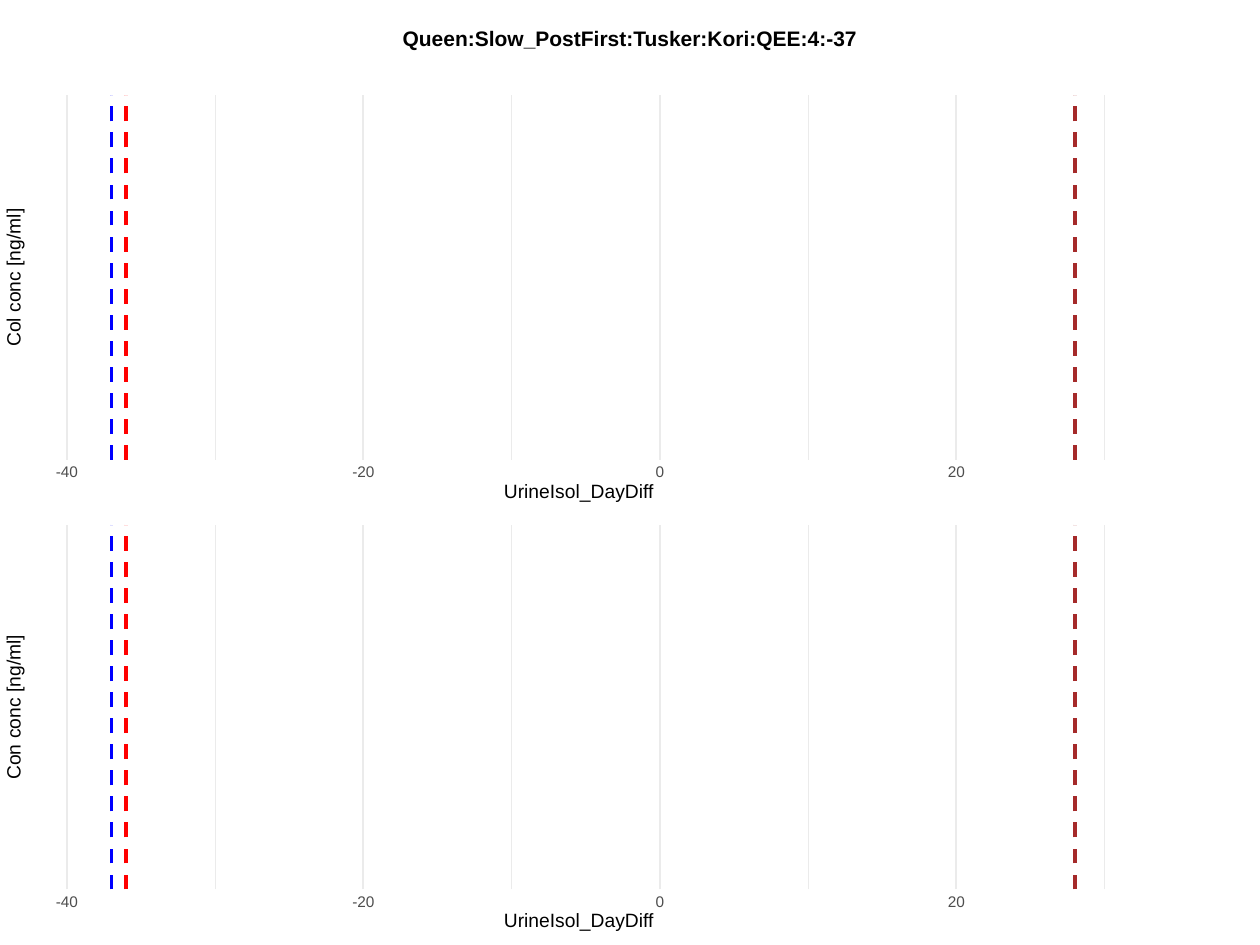
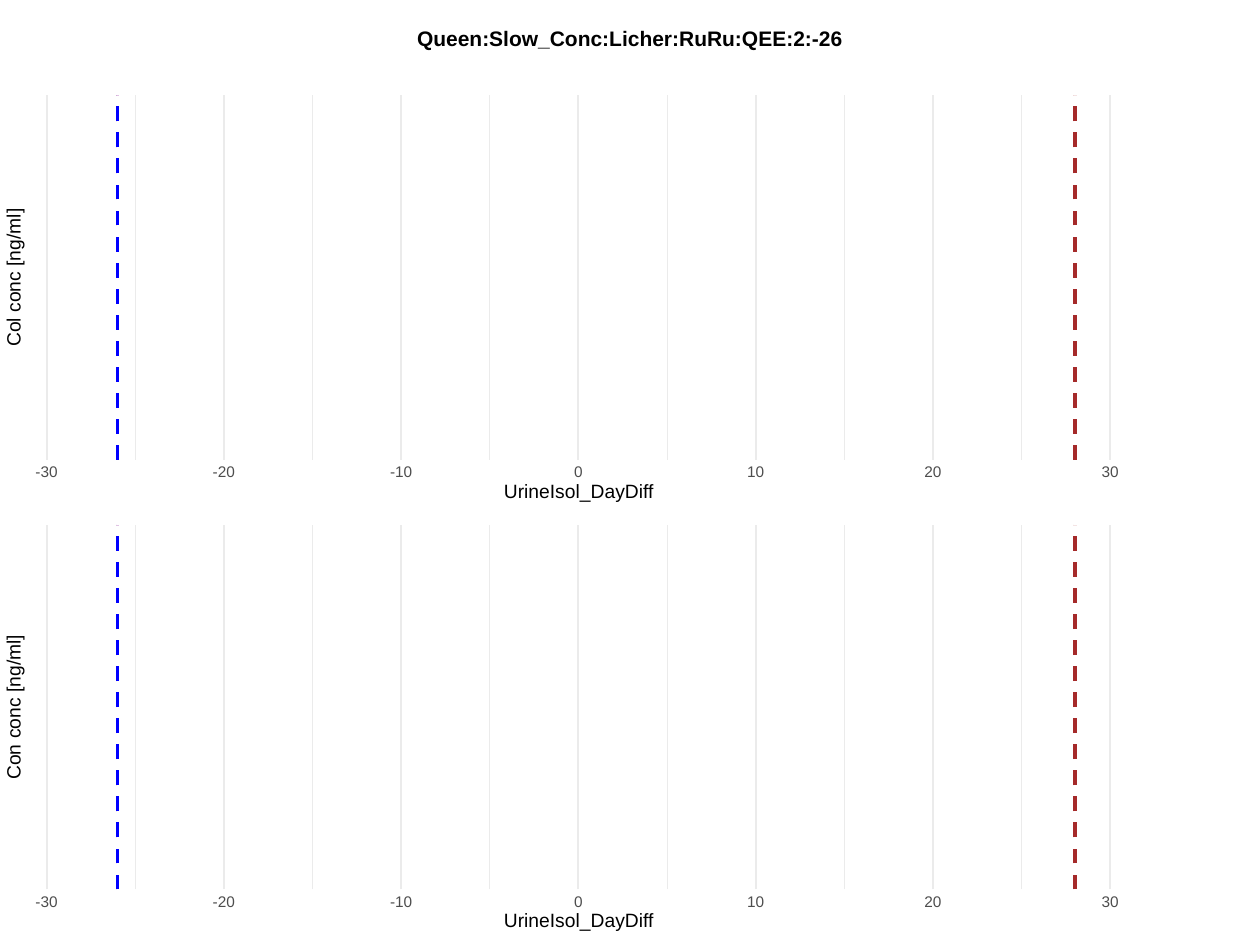
from dataclasses import dataclass
from lxml import etree
from pptx import Presentation
from pptx.dml.color import RGBColor
from pptx.enum.dml import MSO_LINE
from pptx.enum.shapes import MSO_CONNECTOR
from pptx.enum.text import MSO_ANCHOR, MSO_AUTO_SIZE, PP_ALIGN
from pptx.oxml.ns import qn
from pptx.util import Cm, Pt

STRAIGHT = MSO_CONNECTOR.STRAIGHT
DASH = MSO_LINE.DASH
MIDDLE = MSO_ANCHOR.MIDDLE
NO_AUTOFIT = MSO_AUTO_SIZE.NONE
CENTER = PP_ALIGN.CENTER

FONT = "Arial"
TITLE_ONLY = 5
COLORS = {
    "background": "FFFFFF",
    "text": "000000",
    "tick": "4D4D4D",
    "grid": "EBEBEB",
    "red": "FF0000",
    "blue": "0000FF",
    "brown": "A52A2A",
}
SLIDE_W, SLIDE_H = 25.4, 19.05
PANEL_H = 7.35
PANEL_CENTER = 11.67
X_TITLE = "UrineIsol_DayDiff"


@dataclass(frozen=True)
class Axis:
    first_day: int
    last_day: int
    step: int
    first_x: float
    last_x: float

    def x(self, day: float) -> float:
        share = (day - self.first_day) / (self.last_day - self.first_day)
        return self.first_x + share * (self.last_x - self.first_x)

    def major_days(self) -> range:
        return range(self.first_day, self.last_day + 1, self.step)


@dataclass(frozen=True)
class Marker:
    day: int
    color: str


@dataclass(frozen=True)
class Panel:
    y_title: str
    y_title_w: float
    top: float


@dataclass(frozen=True)
class Page:
    title: str
    title_w: float
    axis: Axis
    minor_days: range
    markers: tuple[Marker, ...]


PANELS = (
    Panel("Col conc [ng/ml]", 2.79, 1.92),
    Panel("Con conc [ng/ml]", 2.92, 10.58),
)
PAGES = (
    Page("Queen:Slow_PostFirst:Tusker:Kori:QEE:4:-37", 9.2,
         Axis(-40, 20, 20, 1.35, 19.28), range(-30, 31, 20),
         (Marker(-36, "red"), Marker(-37, "blue"), Marker(28, "brown"))),
    Page("Queen:Slow_Conc:Licher:RuRu:QEE:2:-26", 8.6,
         Axis(-30, 30, 10, 0.94, 22.38), range(-25, 26, 10),
         (Marker(-26, "red"), Marker(-26, "blue"), Marker(28, "brown"))),
)


def set_text(sp, text: str, size: float, color: str, bold: bool = False) -> None:
    tf = sp.text_frame
    tf.text = text
    tf.word_wrap = False
    tf.auto_size = NO_AUTOFIT
    tf.vertical_anchor = MIDDLE
    tf.margin_left = tf.margin_right = tf.margin_top = tf.margin_bottom = 0
    p = tf.paragraphs[0]
    p.alignment = CENTER
    p.line_spacing = Pt(size)
    font = p.runs[0].font
    font.name, font.size, font.bold = FONT, Pt(size), bold
    font.color.rgb = RGBColor.from_string(COLORS[color])


def add_label(s, text: str, center_x: float, top: float, w: float, h: float,
              size: float, color: str = "text", rotation: int = 0) -> None:
    sp = s.shapes.add_textbox(Cm(center_x - w / 2), Cm(top), Cm(w), Cm(h))
    sp.rotation = rotation
    set_text(sp, text, size, color)


def add_day_line(s, x: float, top: float, color: str, width: float, dashed: bool = False) -> None:
    line = s.shapes.add_connector(STRAIGHT, Cm(x), Cm(top + PANEL_H), Cm(x), Cm(top))
    line.line.color.rgb = RGBColor.from_string(COLORS[color])
    line.line.width = Pt(width)
    if dashed:
        line.line.dash_style = DASH
    etree.SubElement(line._element.spPr, qn("a:effectLst"))


def add_panel(s, panel: Panel, page: Page) -> None:
    axis = page.axis
    bottom = panel.top + PANEL_H
    for day in page.minor_days:
        add_day_line(s, axis.x(day), panel.top, "grid", 0.53)
    for day in axis.major_days():
        add_day_line(s, axis.x(day), panel.top, "grid", 1.07)
    for marker in page.markers:
        add_day_line(s, axis.x(marker.day), panel.top, marker.color, 2.13, dashed=True)
    for day in axis.major_days():
        label_w = 0.17 * len(str(abs(day))) + (0.1 if day < 0 else 0)
        add_label(s, str(day), axis.x(day), bottom + 0.15, label_w, 0.23, 8.8, "tick")
    add_label(s, X_TITLE, PANEL_CENTER, bottom + 0.48, 3.02, 0.36, 11)
    add_label(s, panel.y_title, 0.3, panel.top + PANEL_H / 2 - 0.18,
              panel.y_title_w, 0.36, 11, rotation=270)


def add_page(prs, page: Page) -> None:
    s = prs.slides.add_slide(prs.slide_layouts[TITLE_ONLY])
    fill = s.background.fill
    fill.solid()
    fill.fore_color.rgb = RGBColor.from_string(COLORS["background"])
    title = s.shapes.title
    title.left, title.top = Cm((SLIDE_W - page.title_w) / 2), Cm(0.63)
    title.width, title.height = Cm(page.title_w), Cm(0.38)
    set_text(title, page.title, 12, "text", bold=True)
    for panel in PANELS:
        add_panel(s, panel, page)


def main() -> None:
    prs = Presentation()
    prs.slide_width, prs.slide_height = Cm(SLIDE_W), Cm(SLIDE_H)
    for page in PAGES:
        add_page(prs, page)
    prs.save("out.pptx")


if __name__ == "__main__":
    main()
